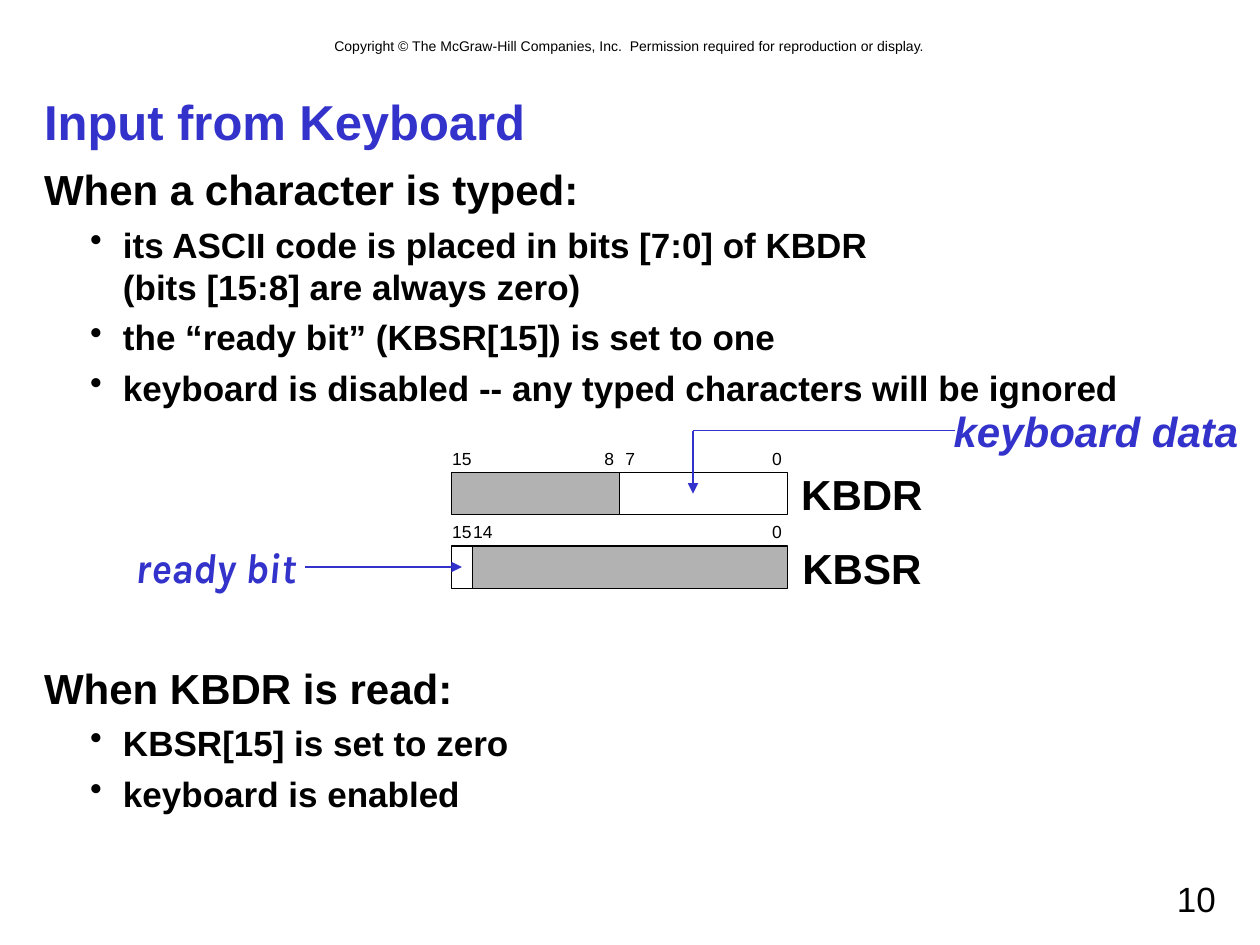
"""Build the slide on keyboard input and its two registers."""
from dataclasses import dataclass

from lxml import etree
from pptx import Presentation
from pptx.dml.color import RGBColor
from pptx.enum.shapes import MSO_CONNECTOR, MSO_SHAPE
from pptx.enum.text import MSO_ANCHOR, PP_ALIGN
from pptx.oxml.ns import qn
from pptx.util import Cm, Pt

LEFT, MID, RIGHT = PP_ALIGN.LEFT, PP_ALIGN.CENTER, PP_ALIGN.RIGHT
TOP, CENTER = MSO_ANCHOR.TOP, MSO_ANCHOR.MIDDLE
RECT, STRAIGHT = MSO_SHAPE.RECTANGLE, MSO_CONNECTOR.STRAIGHT
HUES = {"ink": "000000", "blue": "3333CC", "gray": "B2B2B2", "white": "FFFFFF"}
BITS = 16
BAR_LEFT, BAR_WIDE, BAR_HIGH = 9.1, 6.77, 0.85
BIT = BAR_WIDE / BITS


@dataclass
class Label:
    text: str
    left: float
    top: float
    wide: float
    high: float
    size: float
    hue: str = "ink"
    bold: bool = False
    slant: bool = False
    align: PP_ALIGN = MID
    anchor: MSO_ANCHOR = TOP
    wrap: bool = False
    face: str = "Arial"


@dataclass
class Field:
    first: int
    last: int
    fill: str


@dataclass
class Bar:
    name: str
    top: float
    fields: list[Field]
    marks: list[int]


@dataclass
class Line:
    start: tuple[float, float]
    end: tuple[float, float]
    arrow: bool


@dataclass
class Block:
    top: float
    high: float
    head: str
    points: list[str]


LABELS = [
    Label("Copyright © The McGraw-Hill Companies, Inc.  Permission required for "
          "reproduction or display.", 1.69, 0.64, 22.01, 0.6, 8, wrap=True),
    Label("Input from Keyboard", 0.64, 1.69, 24.13, 1.48, 28, "blue", True,
          align=LEFT, anchor=CENTER, wrap=True),
    Label("keyboard data", 18.97, 8.04, 6.25, 1.27, 24, "blue", True, True),
    Label("ready bit", 2.31, 10.8, 4.09, 1.27, 24, "blue", True, True, face="Karla"),
    Label("10", 18.2, 17.57, 6.56, 1.06, 20, align=RIGHT, wrap=True),
]
BLOCKS = [
    Block(3.18, 5.2, "When a character is typed:", [
        "its ASCII code is placed in bits [7:0] of KBDR\v(bits [15:8] are always zero)",
        "the “ready bit” (KBSR[15]) is set to one",
        "keyboard is disabled -- any typed characters will be ignored"]),
    Block(13.23, 3.7, "When KBDR is read:", [
        "KBSR[15] is set to zero", "keyboard is enabled"]),
]
BARS = [
    Bar("KBDR", 9.53, [Field(15, 8, "gray"), Field(7, 0, "white")], [15, 8, 7, 0]),
    Bar("KBSR", 11.01, [Field(15, 15, "white"), Field(14, 0, "gray")], [15, 14, 0]),
]
LINES = [
    Line((19.26, 8.68), (13.97, 8.68), False),
    Line((13.97, 8.68), (13.97, 9.95), True),
    Line((6.14, 11.43), (9.31, 11.43), True),
]


def color(hue: str) -> RGBColor:
    return RGBColor.from_string(HUES[hue])


def style(para, size: float, hue: str, bold: bool, slant: bool = False,
          face: str = "Arial") -> None:
    for run in para.runs:
        font = run.font
        font.name, font.size = face, Pt(size)
        font.bold, font.italic = bold, slant
        font.color.rgb = color(hue)


def draw_label(slide, label: Label) -> None:
    box = slide.shapes.add_textbox(Cm(label.left), Cm(label.top),
                                   Cm(label.wide), Cm(label.high))
    frame = box.text_frame
    frame.text = label.text
    frame.word_wrap = label.wrap
    frame.vertical_anchor = label.anchor
    para = frame.paragraphs[0]
    para.alignment = label.align
    style(para, label.size, label.hue, label.bold, label.slant, label.face)


def add_bullet(para) -> None:
    props = para._p.get_or_add_pPr()
    props.set("marL", str(Cm(1.59)))
    props.set("indent", str(Cm(-0.66)))
    tint = etree.SubElement(props, qn("a:buClr"))
    etree.SubElement(tint, qn("a:srgbClr"), val=HUES["ink"])
    etree.SubElement(props, qn("a:buChar"), char="•")


def draw_block(slide, block: Block) -> None:
    box = slide.shapes.add_textbox(Cm(0.64), Cm(block.top), Cm(24.13), Cm(block.high))
    frame = box.text_frame
    frame.word_wrap = True
    frame.text = block.head
    style(frame.paragraphs[0], 24, "ink", True)
    for point in block.points:
        para = frame.add_paragraph()
        para.text = point
        para.level = 1
        add_bullet(para)
        para.space_before = Pt(5)
        style(para, 20, "ink", True)


def draw_bar(slide, bar: Bar) -> None:
    for field in bar.fields:
        left = BAR_LEFT + (BITS - 1 - field.first) * BIT
        wide = (field.first - field.last + 1) * BIT
        rect = slide.shapes.add_shape(RECT, Cm(left), Cm(bar.top), Cm(wide), Cm(BAR_HIGH))
        rect.shadow.inherit = False
        rect.fill.solid()
        rect.fill.fore_color.rgb = color(field.fill)
        rect.line.color.rgb = color("ink")
        rect.line.width = Pt(0.75)
    for mark in bar.marks:
        wide = 0.9 if mark > 9 else 0.68
        left = BAR_LEFT + (BITS - 0.5 - mark) * BIT - wide / 2
        draw_label(slide, Label(str(mark), left, bar.top - 0.63, wide, 0.68, 10))
    draw_label(slide, Label(bar.name, 15.9, bar.top - 0.2, 2.95, 1.27, 24, bold=True))


def draw_line(slide, line: Line) -> None:
    ends = [Cm(value) for value in line.start + line.end]
    link = slide.shapes.add_connector(STRAIGHT, *ends)
    link.line.color.rgb = color("blue")
    link.line.width = Pt(0.75)
    if line.arrow:
        etree.SubElement(link.line._get_or_add_ln(), qn("a:tailEnd"), type="triangle")
    etree.SubElement(link._element.spPr, qn("a:effectLst"))


def main() -> None:
    deck = Presentation()
    deck.slide_width, deck.slide_height = Cm(25.4), Cm(19.05)
    slide = deck.slides.add_slide(deck.slide_layouts[6])
    for draw, items in ((draw_block, BLOCKS), (draw_bar, BARS),
                        (draw_label, LABELS), (draw_line, LINES)):
        for item in items:
            draw(slide, item)
    deck.save("out.pptx")


if __name__ == "__main__":
    main()
